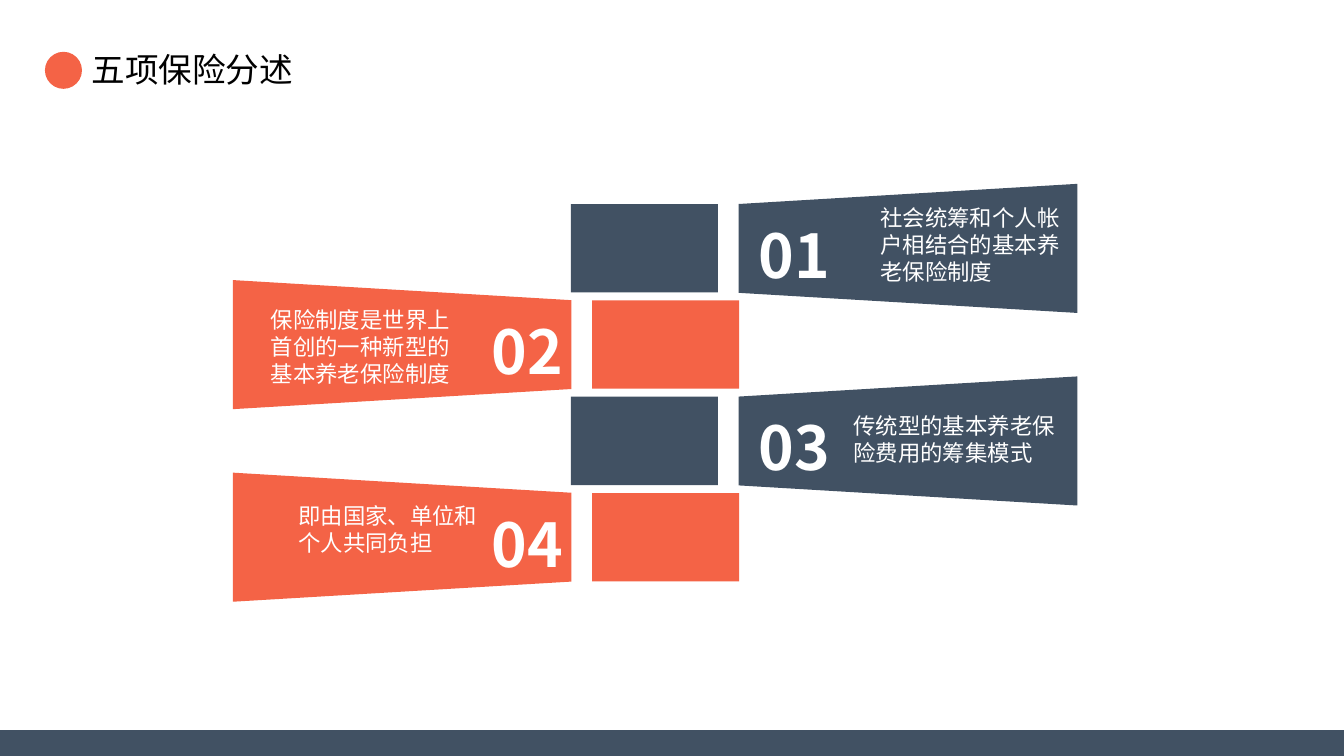
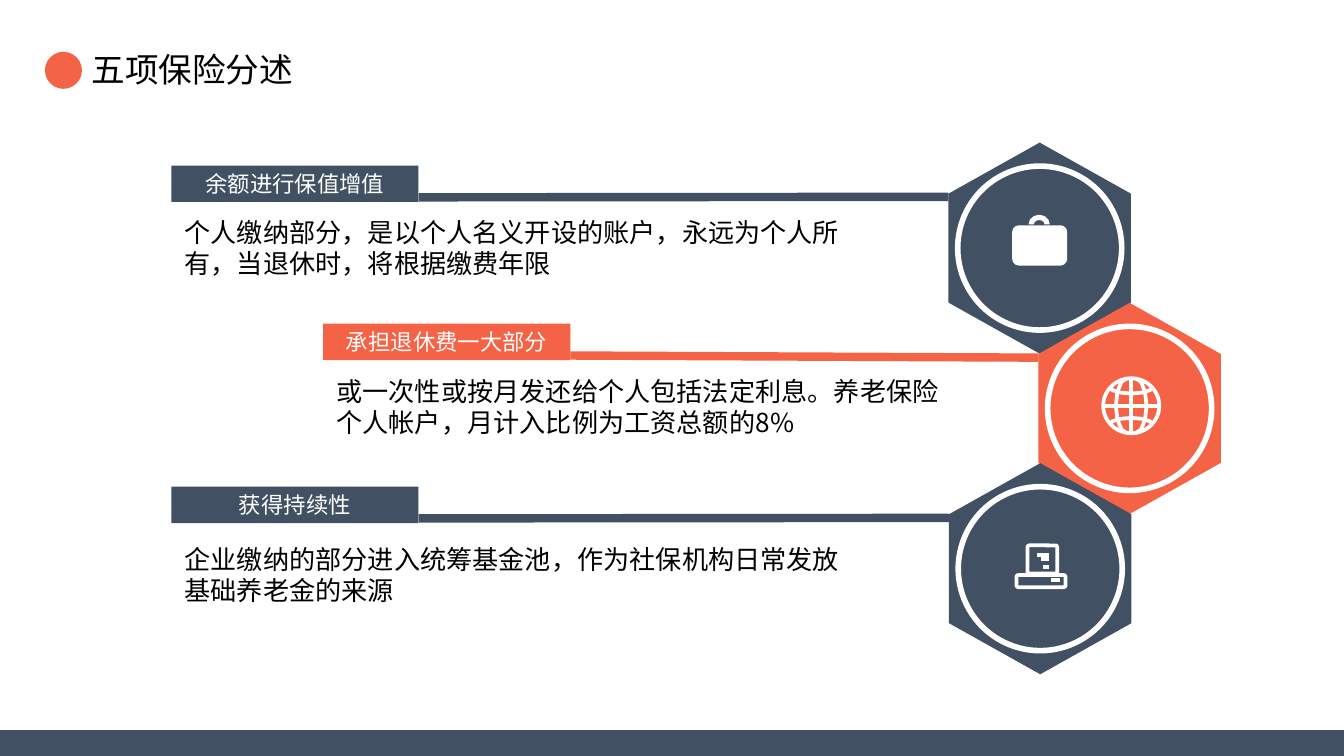
import math

import pptx
import pptx.util
import pptx.dml.color
import pptx.enum.shapes
import pptx.enum.text
from lxml import etree
from pptx.oxml.ns import qn

Cm, Pt = pptx.util.Cm, pptx.util.Pt
SHAPE = pptx.enum.shapes.MSO_SHAPE
ALIGN = pptx.enum.text.PP_ALIGN
ANCHOR = pptx.enum.text.MSO_ANCHOR

# Content
TITLE = "五项保险分述"
COLORS = {"navy": "415163", "orange": "F46346", "white": "FFFFFF", "black": "000000"}
CJK = "Noto Sans CJK SC"

# number, text, text box (left, top, width, height)
FEATURES = [
    ("01", "社会统筹和个人帐户相结合的基本养老保险制度", (16.39, 3.73, 4.22, 1.8)),
    ("02", "保险制度是世界上首创的一种新型的基本养老保险制度", (4.87, 5.66, 4.22, 1.8)),
    ("03", "传统型的基本养老保险费用的筹集模式", (15.88, 7.67, 4.47, 1.27)),
    ("04", "即由国家、单位和个人共同负担", (5.39, 9.37, 4.22, 1.27)),
]
# colour and lefts for the two sides of the ladder
SIDES = [
    {"color": "navy", "block": 10.79, "wing": 17.16, "number": 14.21, "turn": 270},
    {"color": "orange", "block": 11.19, "wing": 7.6, "number": 9.16, "turn": 90},
]
# label, text, colour, label (left, top), text (top, width), line rise, hexagon centre x, icon
BENEFITS = [
    ("余额进行保值增值", "个人缴纳部分，是以个人名义开设的账户，永远为个人所有，当退休时，将根据缴费年限",
     "navy", (3.24, 3.13), (3.96, 13.16), -0.01, 19.65, "briefcase"),
    ("承担退休费一大部分", "或一次性或按月发还给个人包括法定利息。养老保险个人帐户，月计入比例为工资总额的8%",
     "orange", (6.11, 6.12), (6.97, 12.27), 0.04, 21.35, "globe"),
    ("获得持续性", "企业缴纳的部分进入统筹基金池，作为社保机构日常发放基础养老金的来源",
     "navy", (3.24, 9.2), (10.14, 13.16), -0.01, 19.66, "printer"),
]


# Drawing helpers, all lengths in centimetres
def rgb(name):
    return pptx.dml.color.RGBColor.from_string(COLORS[name])


def paint(sp, fill=None, line=None, width=2):
    sp.shadow.inherit = False
    if fill:
        sp.fill.solid()
        sp.fill.fore_color.rgb = rgb(fill)
    else:
        sp.fill.background()
    if line:
        sp.line.color.rgb = rgb(line)
        sp.line.width = Pt(width)
    else:
        sp.line.fill.background()
    return sp


def shape(s, kind, x, y, w, h, fill=None, line=None, width=2, adj=None, turn=0):
    sp = s.shapes.add_shape(kind, Cm(x), Cm(y), Cm(w), Cm(h))
    if adj is not None:
        sp.adjustments[0] = adj
    sp.rotation = turn
    return paint(sp, fill, line, width)


def centred(s, kind, cx, cy, w, h, **style):
    return shape(s, kind, cx - w / 2, cy - h / 2, w, h, **style)


def line(s, x1, y1, x2, y2, color="white", width=2):
    c = s.shapes.add_connector(pptx.enum.shapes.MSO_CONNECTOR.STRAIGHT,
                               Cm(x1), Cm(y1), Cm(x2), Cm(y2))
    c.line.color.rgb = rgb(color)
    c.line.width = Pt(width)
    etree.SubElement(c._element.spPr, qn("a:effectLst"))


def arc(cx, cy, rx, ry, start, end, steps=6):
    angles = [math.radians(start + (end - start) * i / steps) for i in range(steps + 1)]
    return [(Cm(cx + rx * math.cos(a)), Cm(cy + ry * math.sin(a))) for a in angles]


def outline(s, points, close=False, **style):
    fb = s.shapes.build_freeform(*points[0], scale=1.0)
    fb.add_line_segments(points[1:], close=close)
    return paint(fb.convert_to_shape(), **style)


def write(tf, text, size, color, font=CJK, bold=False):
    p = tf.paragraphs[0]
    r = p.add_run()
    r.text = text
    r.font.size = Pt(size)
    r.font.bold = bold
    r.font.name = font
    r.font.color.rgb = rgb(color)
    etree.SubElement(r.font._element, qn("a:ea")).set("typeface", CJK)
    return p


def textbox(s, box, text, size, color, wrap=True, inset=None, **font):
    tf = s.shapes.add_textbox(*map(Cm, box)).text_frame
    tf.word_wrap = wrap
    tf.auto_size = pptx.enum.text.MSO_AUTO_SIZE.SHAPE_TO_FIT_TEXT
    if inset:
        tf.margin_left = tf.margin_right = Cm(inset[0])
        tf.margin_top = tf.margin_bottom = Cm(inset[1])
    write(tf, text, size, color, **font)


# Shared title, dot and footer band
def new_slide(prs):
    s = prs.slides.add_slide(prs.slide_layouts[6])
    textbox(s, (1.48, 0.8, 4.37, 1.02), TITLE, 18, "black", wrap=False, font="Arial")
    shape(s, SHAPE.OVAL, 0.85, 0.98, 0.7, 0.7, "orange")
    shape(s, SHAPE.RECTANGLE, 0, 13.8, 25.43, 0.53, "navy")
    return s


# Icons, placed around a hexagon centre
def briefcase(s, cx, cy):
    shape(s, SHAPE.ROUNDED_RECTANGLE, cx - 0.52, cy - 0.43, 1.04, 0.76, "white", adj=0.167)
    hx, hy = cx - 0.01, cy - 0.45
    handle = arc(hx, hy, 0.2, 0.18, 180, 360) + arc(hx, hy, 0.1, 0.08, 360, 180)
    outline(s, handle, close=True, fill="white")


def globe(s, cx, cy):
    cx, cy = cx + 0.03, cy - 0.05
    rx, ry = 0.53, 0.52
    centred(s, SHAPE.OVAL, cx, cy, 2 * rx, 2 * ry, line="white")
    line(s, cx, cy - ry, cx, cy + ry)
    line(s, cx - rx, cy, cx + rx, cy)
    for side, start in ((1, -90), (-1, 90)):
        outline(s, arc(cx + side * 0.08, cy, 0.21, ry, start, start + 180), line="white")
    for side, start in ((1, 180), (-1, 0)):
        outline(s, arc(cx, cy + side * 0.36, 0.41, 0.13, start, start + 180), line="white")


def printer(s, cx, cy):
    cy += 0.01
    shape(s, SHAPE.ROUNDED_RECTANGLE, cx - 0.24, cy - 0.45, 0.56, 0.53, line="white", adj=0.062)
    shape(s, SHAPE.ROUNDED_RECTANGLE, cx - 0.45, cy + 0.11, 0.93, 0.23, line="white", adj=0.167)
    for right, left, dy in ((0.37, 0.21, 0.21), (0.16, -0.07, -0.27),
                            (0.16, 0.01, -0.19), (0.16, 0.06, -0.04)):
        line(s, cx + right, cy + dy, cx + left, cy + dy)


ICONS = {"briefcase": briefcase, "globe": globe, "printer": printer}


# Slide 1: alternating ladder
def features_slide(prs):
    s = new_slide(prs)
    top, pitch, block_w, block_h = 3.86, 1.82, 2.78, 1.67
    for i, (number, text, box) in enumerate(FEATURES):
        side = SIDES[i % 2]
        y = top + i * pitch
        shape(s, SHAPE.RECTANGLE, side["block"], y, block_w, block_h, side["color"])
        centred(s, SHAPE.TRAPEZOID, side["wing"], y + block_h / 2, 2.44, 6.4,
                fill=side["color"], adj=0.156, turn=side["turn"])
        textbox(s, (side["number"], y + 0.18, 1.68, 1.52), number, 32.4, "white",
                wrap=False, inset=(0.13, 0.08), bold=True)
        textbox(s, box, text, 12, "white")


# Slide 2: hexagon column with labelled lines
def benefits_slide(prs):
    s = new_slide(prs)
    top, pitch, hex_w, hex_h, ring = 4.69, 3.03, 3.99, 3.45, 3.1
    label_w, label_h = 4.67, 0.69
    for i, (label, text, color, (x, y), (text_y, text_w), rise, cx, icon) in enumerate(BENEFITS):
        cy = top + i * pitch
        centred(s, SHAPE.HEXAGON, cx, cy, hex_w, hex_h, fill=color, adj=0.28, turn=270)
        centred(s, SHAPE.OVAL, cx, cy, ring, ring, fill=color, line="white", width=3)
        ICONS[icon](s, cx, cy)
        line_y = y + 0.6
        line(s, x + label_w, line_y, cx - hex_h / 2, line_y + rise, color, 4.5)
        sp = shape(s, SHAPE.RECTANGLE, x, y, label_w, label_h, color)
        sp.text_frame.vertical_anchor = ANCHOR.MIDDLE
        write(sp.text_frame, label, 12, "white").alignment = ALIGN.CENTER
        textbox(s, (x, text_y, text_w, 1.45), text, 14, "black")


def main():
    prs = pptx.Presentation()
    prs.slide_width, prs.slide_height = Cm(25.4), Cm(14.29)
    features_slide(prs)
    benefits_slide(prs)
    prs.save("out.pptx")


if __name__ == "__main__":
    main()
